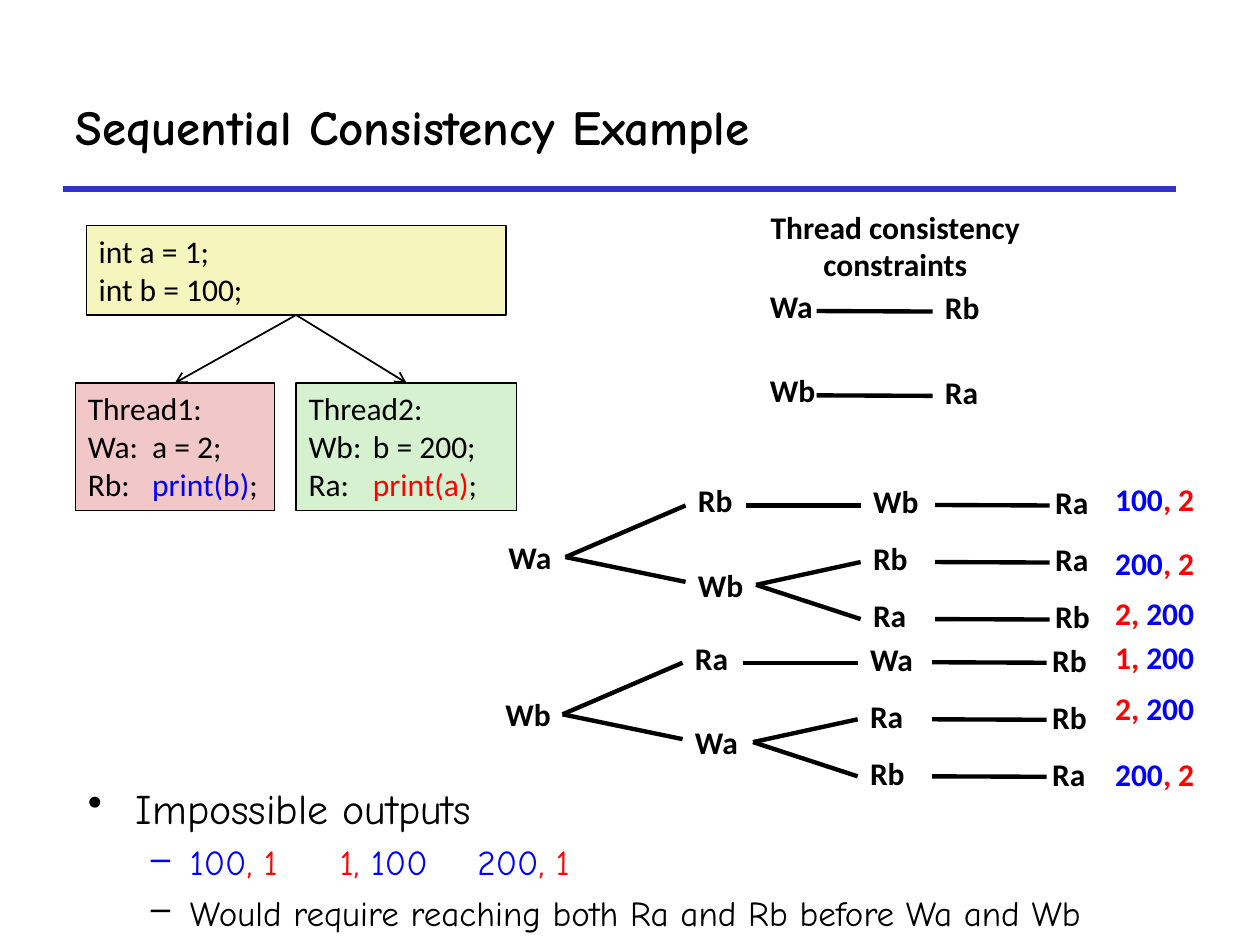
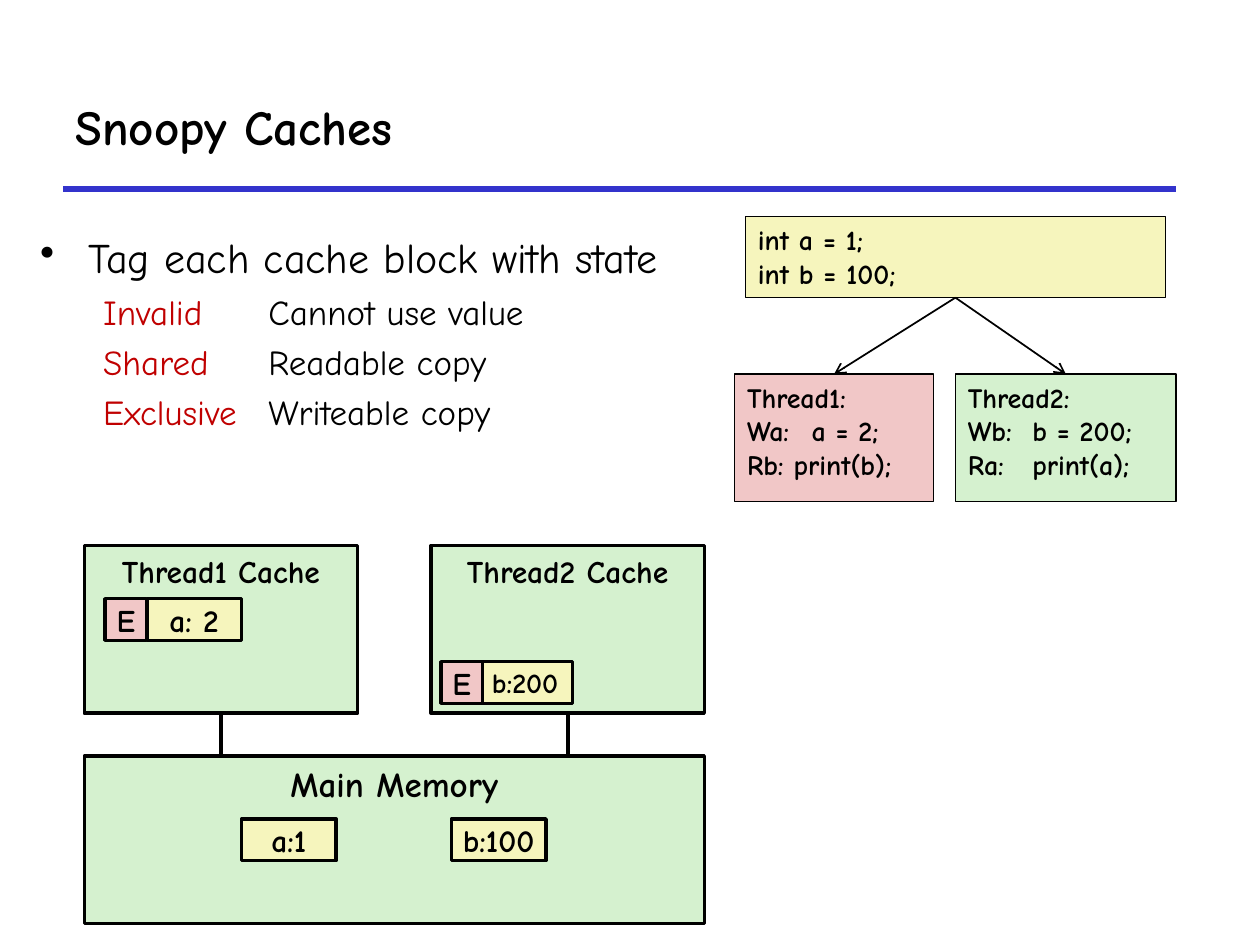
from dataclasses import dataclass

from lxml.etree import SubElement
from pptx import Presentation
from pptx.dml.color import RGBColor
from pptx.enum.shapes import MSO_CONNECTOR as Connector, MSO_SHAPE as Preset
from pptx.enum.text import MSO_ANCHOR as Anchor, MSO_AUTO_SIZE as AutoSize, PP_ALIGN as Align
from pptx.oxml.ns import qn
from pptx.util import Cm, Pt

BLACK = RGBColor(0x00, 0x00, 0x00)
RULE_BLUE = RGBColor(0x33, 0x33, 0xCC)
BLUE = RGBColor(0x00, 0x00, 0xFF)
RED = RGBColor(0xFF, 0x00, 0x00)
DARK_RED = RGBColor(0xC0, 0x00, 0x00)
YELLOW = RGBColor(0xF6, 0xF5, 0xBD)
PINK = RGBColor(0xF1, 0xC7, 0xC7)
GREEN = RGBColor(0xD5, 0xF1, 0xCF)


@dataclass(frozen=True)
class Look:
    font: str
    size: float
    bold: bool = False


TITLE = Look("Comic Neue", 28, True)
POINT = Look("Comic Neue", 24)
SUBPOINT = Look("Comic Neue", 20)
MEMORY = Look("Comic Neue", 20, True)
CACHE = Look("Comic Neue", 18, True)
SMALL = Look("Comic Neue", 16, True)
CODE = Look("Calibri", 18)
LABEL = Look("Calibri", 18, True)

# Size of the event labels in the interleaving trees
LABEL_WIDTH = {"Wa": 1.4, "Wb": 1.45, "Ra": 1.19, "Rb": 1.22}
LABEL_HEIGHT = 1.02


class Slides:
    """The shared style and the slide being drawn."""

    def __init__(self):
        self.deck = Presentation()
        self.deck.slide_width, self.deck.slide_height = Cm(25.4), Cm(19.05)
        self.page = None

    def start(self, title):
        self.page = self.deck.slides.add_slide(self.deck.slide_layouts[5])
        box = self.page.shapes.title
        box.left, box.top, box.width, box.height = Cm(1.27), Cm(1.27), Cm(22.43), Cm(2.54)
        frame = box.text_frame
        frame.auto_size = AutoSize.NONE
        frame.vertical_anchor = Anchor.MIDDLE
        self.add_spans(frame.paragraphs[0], title, TITLE)
        self.line((1.27, 3.81), (23.7, 3.81), 3, RULE_BLUE)

    def add_spans(self, para, spans, look, align=Align.LEFT):
        """Spans are a plain string or a list of (text, colour)."""
        para.alignment = align
        for text, colour in [(spans, BLACK)] if isinstance(spans, str) else spans:
            span = para.add_run()
            span.text = text
            font = span.font
            font.name, font.size, font.bold = look.font, Pt(look.size), look.bold
            font.color.rgb = colour

    def paragraphs(self, frame, count):
        return [frame.paragraphs[0]] + [frame.add_paragraph() for _ in range(count - 1)]

    def label(self, x, y, lines, width=None, height=LABEL_HEIGHT, align=Align.LEFT):
        width = width or LABEL_WIDTH[lines[0]]
        box = self.page.shapes.add_textbox(Cm(x), Cm(y), Cm(width), Cm(height))
        frame = box.text_frame
        frame.word_wrap = False
        frame.auto_size = AutoSize.SHAPE_TO_FIT_TEXT
        for para, spans in zip(self.paragraphs(frame, len(lines)), lines):
            self.add_spans(para, spans, LABEL, align)

    def bullets(self, x, y, width, height, items):
        """Items are (level, bullet or None, spans)."""
        box = self.page.shapes.add_textbox(Cm(x), Cm(y), Cm(width), Cm(height))
        frame = box.text_frame
        frame.word_wrap = True
        paras = self.paragraphs(frame, len(items))
        for number, (para, (level, bullet, spans)) in enumerate(zip(paras, items)):
            para.level = level
            if number:
                para.space_before = Pt(4.6)
            margin, hang = ((0.97, 0.97), (2.06, 0.79))[level]
            props = para._p.get_or_add_pPr()
            props.set("marL", str(Cm(margin)))
            props.set("indent", str(-Cm(hang)))
            props.set("defTabSz", str(Cm(2.54)))
            if bullet:
                SubElement(props, qn("a:buChar")).set("char", bullet)
            else:
                SubElement(props, qn("a:buNone"))
            self.add_spans(para, spans, SUBPOINT if level else POINT)

    def rect(self, x, y, width, height, fill, lines, look, weight=2.0,
             align=Align.CENTER, anchor=Anchor.TOP, wrap=True, tab=None):
        box = self.page.shapes.add_shape(Preset.RECTANGLE, Cm(x), Cm(y), Cm(width), Cm(height))
        box.shadow.inherit = False
        box.fill.solid()
        box.fill.fore_color.rgb = fill
        box.line.color.rgb = BLACK
        box.line.width = Pt(weight)
        frame = box.text_frame
        frame.word_wrap = wrap
        frame.vertical_anchor = anchor
        for para, spans in zip(self.paragraphs(frame, len(lines)), lines):
            if tab:
                tabs = SubElement(para._p.get_or_add_pPr(), qn("a:tabLst"))
                stop = SubElement(tabs, qn("a:tab"))
                stop.set("pos", str(Cm(tab)))
                stop.set("algn", "l")
            self.add_spans(para, spans, look, align)
        return box

    def cell(self, x, y, text, fill=YELLOW, width=1.91, look=CACHE):
        self.rect(x, y, width, 0.84, fill, [text], look, anchor=Anchor.MIDDLE, wrap=False)

    def line(self, start, end, weight=2.5, colour=BLACK):
        line = self.page.shapes.add_connector(
            Connector.STRAIGHT, Cm(start[0]), Cm(start[1]), Cm(end[0]), Cm(end[1]))
        line.line.color.rgb = colour
        line.line.width = Pt(weight)
        SubElement(line._element.spPr, qn("a:effectLst"))
        return line

    def arrow(self, source, target):
        """Arrow from the bottom of one box to the top of another."""
        line = self.line((0, 0), (1, 1), 1)
        line.begin_connect(source, 2)
        line.end_connect(target, 0)
        outline = line._element.spPr.find(qn("a:ln"))
        SubElement(outline, qn("a:tailEnd")).set("type", "arrow")

    def program(self, x, y, height, thread_y, look, thread1, thread2):
        """Shared variables forking into two threads."""
        style = dict(look=look, weight=0.75, align=Align.LEFT)
        shared = self.rect(x + 0.22, y, 8.46, height, YELLOW,
                           ["int a = 1;", "int b = 100;"], **style)
        for left, width, fill, lines in ((x, 4.01, PINK, thread1),
                                         (x + 4.45, 4.45, GREEN, thread2)):
            thread = self.rect(left, thread_y, width, 2.57, fill, lines, tab=1.3, **style)
            self.arrow(shared, thread)

    def tree(self, dx, dy, root, upper, lower, leaves):
        """All interleavings from one first event; leaves are (third, fourth)."""
        def at(x, y):
            return x + dx, y + dy

        self.label(*at(10, 10.72), [root])
        self.label(*at(13.82, 9.58), [upper])
        self.label(*at(13.82, 11.28), [lower])
        for start, end in (((11.4, 11.23), (13.82, 10.19)),
                           ((11.4, 11.23), (13.82, 11.73)),
                           ((15.04, 10.19), (17.35, 10.19)),
                           ((15.24, 11.79), (17.35, 11.33)),
                           ((15.24, 11.79), (17.35, 12.48))):
            self.line(at(*start), at(*end))
        for row, (third, fourth) in enumerate(leaves):
            drop = row * 1.15
            self.label(*at(17.35, 9.6 + drop), [third])
            self.label(*at(21.02, 9.62 + drop), [fourth])
            self.line(at(18.85, 10.18 + drop), at(21.16, 10.19 + drop))


def consistency_example(slides):
    slides.start("Sequential Consistency Example")
    slides.bullets(1.52, 15.65, 23.88, 2.13, [
        (0, "•", "Impossible outputs"),
        (1, "–", [("100", BLUE), (", 1\t1, ", RED), ("100\t 200", BLUE), (", 1", RED)]),
        (1, "–", "Would require reaching both Ra and Rb before Wa and Wb"),
    ])

    # Interleaving trees
    slides.tree(0, 0, "Wa", "Rb", "Wb", [("Wb", "Ra"), ("Rb", "Ra"), ("Ra", "Rb")])
    slides.tree(-0.06, 3.17, "Wb", "Ra", "Wa", [("Wa", "Rb"), ("Ra", "Rb"), ("Rb", "Ra")])

    # Printed output of each interleaving
    b_then_a = (BLUE, RED)
    a_then_b = (RED, BLUE)
    for y, first, second, (colour1, colour2) in (
            (9.55, "100", "2", b_then_a), (10.85, "200", "2", b_then_a),
            (11.86, "2", "200", a_then_b), (12.73, "1", "200", a_then_b),
            (13.77, "2", "200", a_then_b), (15.09, "200", "2", b_then_a)):
        spans = [(first, colour1), (", ", RED), (second, colour2)]
        slides.label(22.23, y, [spans], 2.13)

    # Ordering constraints
    slides.label(15.27, 4.06, ["Thread consistency", "constraints"], 5.56, 1.8, Align.CENTER)
    for row, (before, after) in enumerate((("Wa", "Rb"), ("Wb", "Ra"))):
        drop = row * 1.7
        slides.label(15.27, 5.66 + drop, [before])
        slides.label(18.8, 5.69 + drop, [after])
        slides.line((16.46, 6.27 + drop), (18.8, 6.28 + drop))

    slides.program(
        1.52, 4.55, 1.8, 7.72, CODE,
        ["Thread1:", "Wa:\ta = 2;", [("Rb:\t", BLACK), ("print(b)", BLUE), (";", BLACK)]],
        ["Thread2:", "Wb:\tb = 200;", [("Ra:\t", BLACK), ("print(a)", RED), (";", BLACK)]])


def snoopy_caches(slides):
    slides.start("Snoopy Caches")
    states = (("Invalid", "Cannot use value"), ("Shared", "Readable copy"),
              ("Exclusive", "Writeable copy"))
    slides.bullets(0.56, 4.55, 21.95, 4.98, [(0, "•", "Tag each cache block with state")] + [
        (1, None, [(state, DARK_RED), ("\t" + meaning, BLACK)]) for state, meaning in states])

    # Main memory
    slides.rect(1.7, 15.24, 12.5, 3.38, GREEN, ["Main Memory"], MEMORY)
    slides.cell(4.87, 16.51, "a:1")
    slides.cell(9.1, 16.51, "b:100")

    # Caches, each wired to the memory
    for x, name in ((1.7, "Thread1 Cache"), (8.69, "Thread2 Cache")):
        cache = slides.rect(x, 11, 5.51, 3.38, GREEN, [name], CACHE)
        middle = x + 5.51 / 2
        bus = slides.line((middle, 14.38), (middle, 15.24), 2)
        bus.begin_connect(cache, 2)

    # Cached blocks with their state tags
    slides.cell(2.96, 12.07, "a: 2")
    slides.cell(2.12, 12.07, "E", PINK, 0.84)
    slides.cell(9.63, 13.34, "b:200", look=SMALL)
    slides.cell(8.89, 13.34, "E", PINK, 0.84)

    slides.program(14.81, 4.37, 1.63, 7.54, SMALL,
                   ["Thread1:", "Wa:\ta = 2;", "Rb: print(b);"],
                   ["Thread2:", "Wb:\tb = 200;", "Ra:\tprint(a);"])


def main():
    slides = Slides()
    consistency_example(slides)
    snoopy_caches(slides)
    slides.deck.save("out.pptx")


if __name__ == "__main__":
    main()
